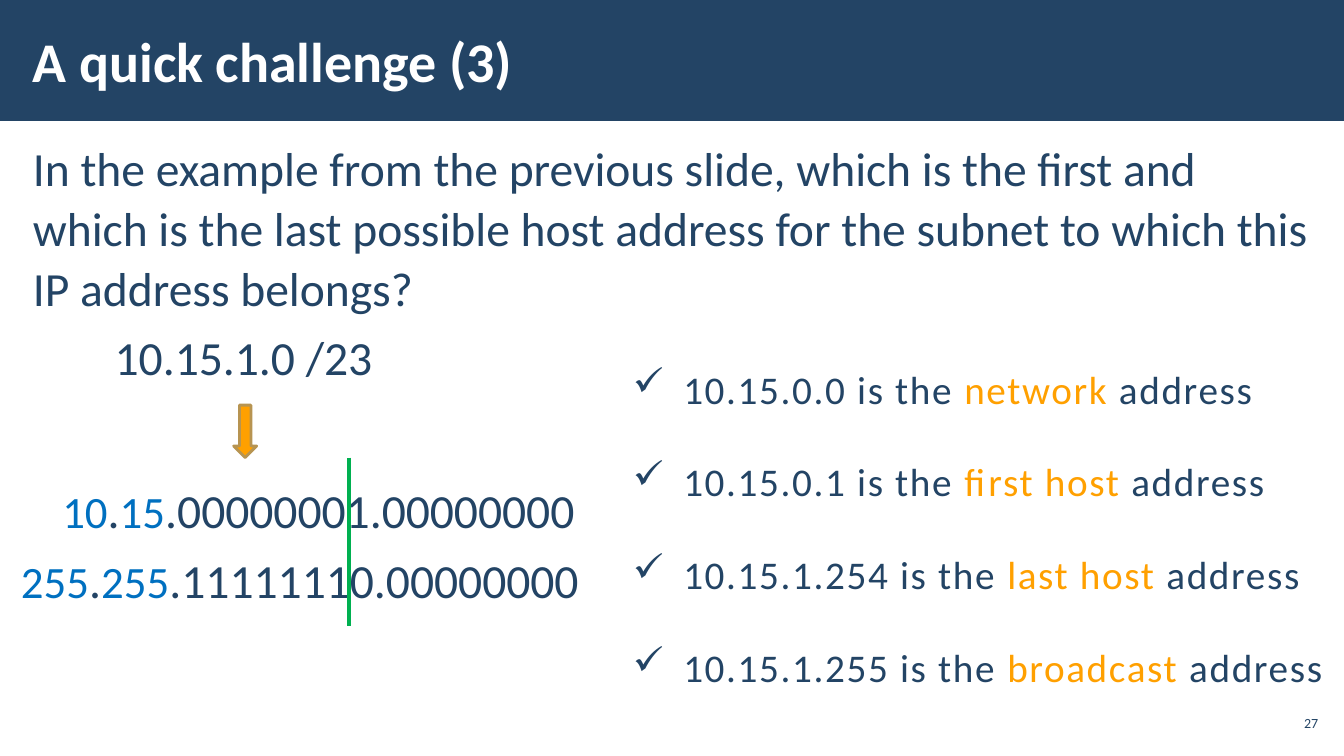
from dataclasses import dataclass

from lxml import etree
from pptx import Presentation, util as u
from pptx.dml.color import RGBColor
from pptx.enum import shapes, text
from pptx.oxml.ns import qn

HUES = {"navy": "234465", "white": "FFFFFF", "blue": "0070C0",
        "gold": "FFA000", "rim": "B79451", "green": "00B050"}
PAD = {"margin_left": u.Cm(0.3), "margin_right": u.Cm(0.3),
       "margin_top": u.Cm(0.1), "margin_bottom": u.Cm(0.1),
       "word_wrap": True, "auto_size": text.MSO_AUTO_SIZE.NONE,
       "vertical_anchor": text.MSO_ANCHOR.TOP}
MID = PAD | {"vertical_anchor": text.MSO_ANCHOR.MIDDLE}
SLIM = MID | {"margin_left": u.Cm(0.1), "margin_right": u.Cm(0.1)}
FREE = {"word_wrap": False, "auto_size": text.MSO_AUTO_SIZE.SHAPE_TO_FIT_TEXT}
LEFT = {"alignment": text.PP_ALIGN.LEFT}
PROSE = LEFT | {"line_spacing": 1.05, "space_before": u.Pt(0),
                "space_after": u.Pt(6)}


@dataclass
class Run:
    text: str
    size: float
    hue: str = "navy"
    bold: bool = False
    gap: int = 0


@dataclass
class Check:
    addr: str
    role: str
    width: float


def rgb(hue: str) -> RGBColor:
    return RGBColor.from_string(HUES[hue])


def apply(obj, form: dict) -> None:
    for name, val in form.items():
        setattr(obj, name, val)


def place(shape, left: float, top: float, width: float, height: float) -> None:
    sides = zip(("left", "top", "width", "height"), (left, top, width, height))
    apply(shape, {side: u.Cm(val) for side, val in sides})


def write(shape, runs: list[Run], frame: dict, para: dict,
          mark: str = "") -> None:
    apply(shape.text_frame, frame)
    line = shape.text_frame.paragraphs[0]
    props = line._p.get_or_add_pPr()
    dent = u.Cm(1.27) if mark else 0
    props.set("marL", str(dent))
    props.set("indent", str(-dent))
    if mark:
        etree.SubElement(props, qn("a:buChar")).set("char", mark)
    else:
        etree.SubElement(props, qn("a:buNone"))
    apply(line, para)
    for part in runs:
        for i, piece in enumerate(part.text.split("\n")):
            if i:
                line.add_line_break()
            run = line.add_run()
            run.text = piece
            apply(run.font, {"name": "Calibri", "size": u.Pt(part.size),
                             "bold": part.bold})
            run.font.color.rgb = rgb(part.hue)
            if part.gap:
                run.font._element.set("spc", str(part.gap))


def label(slide, box: tuple, runs: list[Run], frame: dict, para: dict,
          mark: str = "") -> None:
    write(slide.shapes.add_textbox(*map(u.Cm, box)), runs, frame, para, mark)


def block(slide, kind, box: tuple, fill: str, rim: str = ""):
    shape = slide.shapes.add_shape(kind, *map(u.Cm, box))
    shape.shadow.inherit = False
    shape.fill.solid()
    shape.fill.fore_color.rgb = rgb(fill)
    if rim:
        shape.line.color.rgb = rgb(rim)
        shape.line.width = u.Pt(2)
    else:
        shape.line.fill.background()
    return shape


def main() -> None:
    deck = Presentation()
    deck.slide_width, deck.slide_height = u.Cm(33.87), u.Cm(19.05)
    slide = deck.slides.add_slide(deck.slide_layouts[1])

    # Title band, behind the placeholders
    band = block(slide, shapes.MSO_SHAPE.RECTANGLE, (0, 0, 33.87, 3.05), "navy")
    slide.shapes._spTree.insert(2, band._element)

    # Title and question
    title, body = slide.shapes.title, slide.placeholders[1]
    place(title, 0.53, 0.28, 26.42, 2.46)
    write(title, [Run("A quick challenge (3)", 40, "white", True)], MID, LEFT)
    place(body, 0.53, 3.33, 32.82, 14.45)
    write(body, [Run("In the example from the previous slide, which is the "
                     "first and \nwhich is the last possible host address for "
                     "the subnet to which this IP address belongs?", 34)],
          PAD, PROSE)

    # Page number
    label(slide, (32.13, 17.78, 1.19, 0.86), [Run("27", 10)], SLIM,
          {"alignment": text.PP_ALIGN.RIGHT})

    # Address and arrow
    label(slide, (2.59, 8.1, 7.19, 1.83), [Run("10.15.1.0 /23", 34)],
          PAD, PROSE)
    block(slide, shapes.MSO_SHAPE.DOWN_ARROW, (5.89, 10.21, 0.58, 1.32),
          "gold", "rim")

    # Binary address above binary mask
    rows = [(1.27, 11.94, "10", "15", ".00000001.00000000"),
            (0.23, 13.72, "255", "255", ".11111110.00000000")]
    for left, top, one, two, bits in rows:
        label(slide, (left, top, 19.1, 1.83),
              [Run(one, 32, "blue"), Run(".", 34),
               Run(two, 32, "blue"), Run(bits, 34)], PAD, PROSE)

    # Line between network and host bits
    split = slide.shapes.add_connector(
        shapes.MSO_CONNECTOR.STRAIGHT, *map(u.Cm, (8.79, 11.53, 8.79, 15.77)))
    split.line.color.rgb = rgb("green")
    split.line.width = u.Pt(3)
    etree.SubElement(split._element.spPr, qn("a:effectLst"))

    # Answers
    checks = [Check("10.15.0.0", "network", 16.36),
              Check("10.15.0.1", "first host", 16.69),
              Check("10.15.1.254", "last host", 17.58),
              Check("10.15.1.255", "broadcast", 18.16)]
    for i, check in enumerate(checks):
        label(slide, (15.7, 9.07 + 2.34 * i, check.width, 1.45),
              [Run(f"{check.addr} is the ", 28, gap=120),
               Run(check.role, 28, "gold", gap=120),
               Run(" address", 28, gap=120)], FREE, LEFT, "✓")

    deck.save("out.pptx")


if __name__ == "__main__":
    main()
